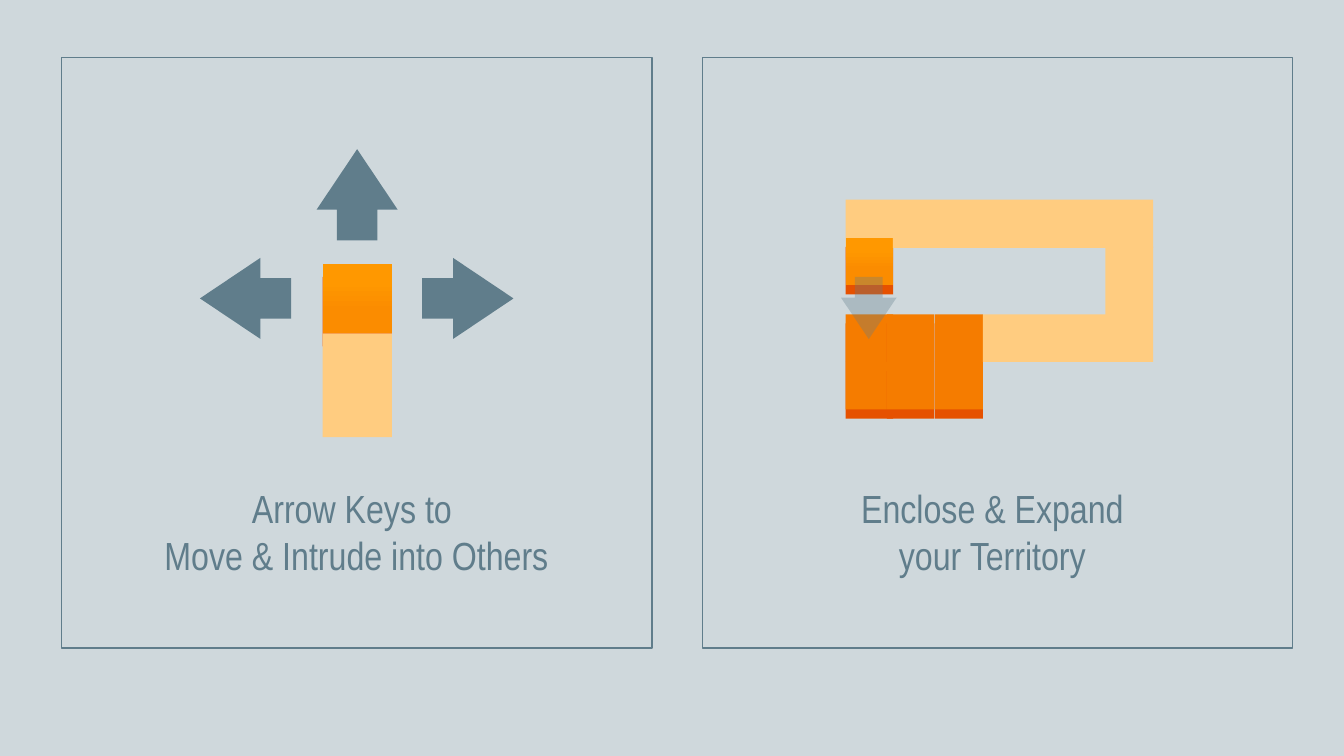
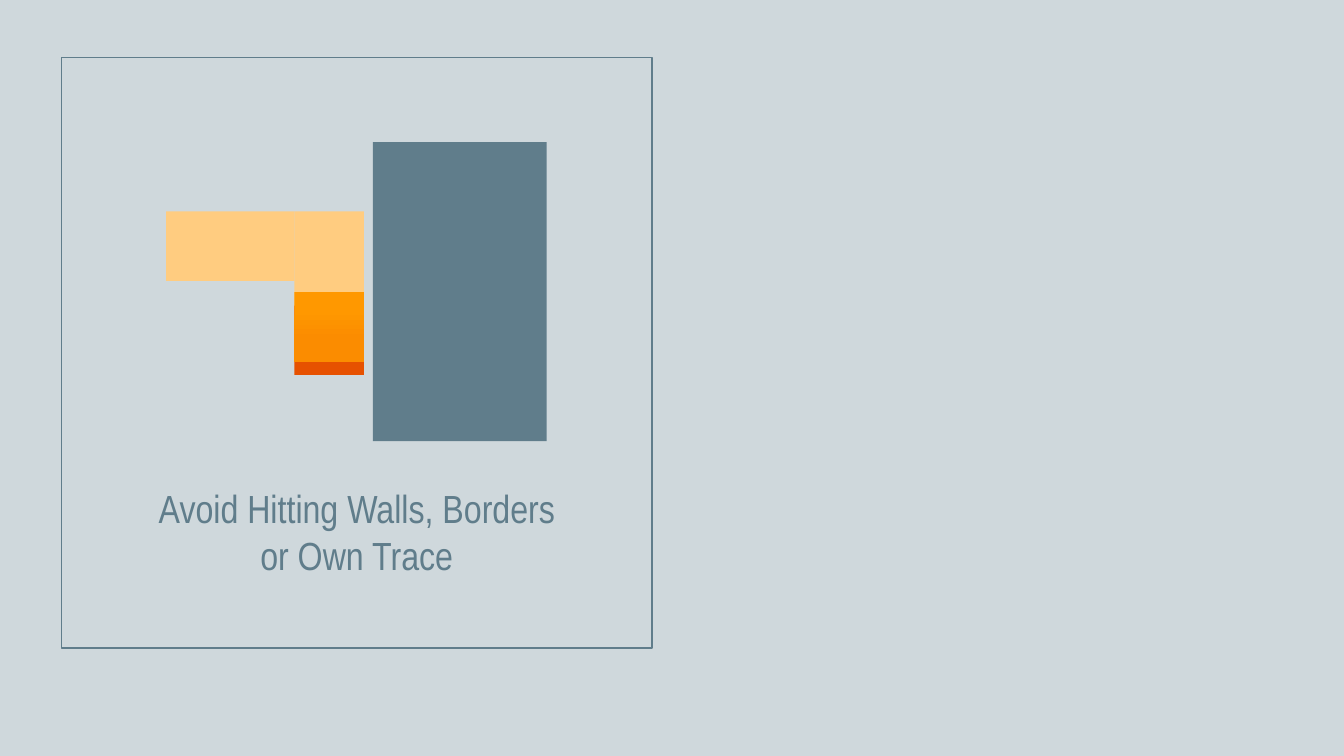
from collections import namedtuple
from itertools import product

from lxml.etree import SubElement
from pptx import Presentation
from pptx.dml.color import RGBColor
from pptx.enum.shapes import MSO_SHAPE as Preset
from pptx.enum.text import MSO_AUTO_SIZE as AutoSize, PP_ALIGN as Align
from pptx.oxml.ns import qn
from pptx.util import Cm, Pt

Box = namedtuple("Box", "left top width height")

BACKDROP, SLATE = "CFD8DC", "607D8B"
TRACE, TERRITORY, EDGE = "FFCC80", "F57C00", "E65100"
HEAD_STOPS = ((0.26, "FF9800"), (0.67, "FB8C00"))
CAPTION_FONT = {"name": "Arial Narrow", "size": Pt(28)}
CAPTION_FRAME = {"word_wrap": False, "auto_size": AutoSize.SHAPE_TO_FIT_TEXT}

SIDE = 14.88
LEFT_PANEL = Box(1.55, 1.45, SIDE, SIDE)
RIGHT_PANEL = LEFT_PANEL._replace(left=17.7)


def rgb(value):
    """Turn a hex string into a colour."""
    return RGBColor.from_string(value)


def apply(target, values):
    """Set each attribute named in a dict of format values."""
    for name, value in values.items():
        setattr(target, name, value)


def inside(panel, left, top, width, height):
    """Return the Cm lengths of an area given relative to a panel."""
    return Cm(panel.left + left), Cm(panel.top + top), Cm(width), Cm(height)


def add_solid(shapes, panel, area, color=None, preset=Preset.RECTANGLE):
    """Add a plain shape without line or shadow."""
    shape = shapes.add_shape(preset, *inside(panel, *area))
    shape.shadow.inherit = False
    shape.line.fill.background()
    if color:
        shape.fill.solid()
        shape.fill.fore_color.rgb = rgb(color)
    return shape


def add_block(shapes, panel, left, top, size, depth, color=None):
    """Add a raised square, with the head gradient unless a colour is given."""
    add_solid(shapes, panel, (left, top + depth, size, size), EDGE)
    face = add_solid(shapes, panel, (left, top, size, size), color)
    if not color:
        face.fill.gradient()
        face.fill.gradient_angle = 270
        for stop, (position, shade) in zip(face.fill.gradient_stops, HEAD_STOPS):
            stop.position = position
            stop.color.rgb = rgb(shade)


def add_arrow(shapes, panel, area, rotation):
    """Add a left arrow turned by the given degrees."""
    arrow = add_solid(shapes, panel, area, SLATE, Preset.LEFT_ARROW)
    arrow.rotation = rotation
    arrow.adjustments[0], arrow.adjustments[1] = 0.5, 0.746
    return arrow


def add_panel(page, panel, caption, width, center):
    """Draw a panel's frame and caption and return shapes for its drawing."""
    frame = add_solid(page.shapes, panel, (0, 0, panel.width, panel.height))
    frame.fill.background()
    frame.line.color.rgb = rgb(SLATE)
    frame.line.width = Pt(1)
    area = (center - width / 2, 10.64, width, 2.64)
    text = page.shapes.add_textbox(*inside(panel, *area)).text_frame
    apply(text, CAPTION_FRAME)
    text.text = caption
    for para in text.paragraphs:
        para.alignment = Align.CENTER
        for span in para.runs:
            apply(span.font, CAPTION_FONT)
            span.font.color.rgb = rgb(SLATE)
    return page.shapes.add_group_shape().shapes


def draw_moving(page, panel):
    """Show the head with the three directions it can take."""
    caption = "Arrow Keys to \vMove & Intrude into Others"
    shapes = add_panel(page, panel, caption, 10.29, 7.43)
    add_block(shapes, panel, 6.58, 5.2, 1.75, 0.33)
    add_solid(shapes, panel, (6.58, 6.95, 1.75, 2.62), TRACE)
    for left, top, rotation in ((3.49, 5.05, 0), (6.3, 2.44, 90), (9.09, 5.05, 180)):
        add_arrow(shapes, panel, (left, top, 2.3, 2.04), rotation)


def draw_enclosing(page, panel):
    """Show a trace that closes a loop onto its territory."""
    caption = "Enclose & Expand \vyour Territory "
    shapes = add_panel(page, panel, caption, 7.42, 7.42)
    cell, depth, left, top = 1.2, 0.23, 3.61, 3.58
    add_solid(shapes, panel, (left, top, cell, 1.52), TRACE)
    add_block(shapes, panel, left, 4.54, cell, depth)
    add_solid(shapes, panel, (10.16, 4.77, cell, 2.9), TRACE)
    for row, column in product((6.47, 7.67), (left, 4.65, 5.87)):
        add_block(shapes, panel, column, row, cell, depth, TERRITORY)
    add_solid(shapes, panel, (7.07, 6.47, 3.1, cell), TRACE)
    add_solid(shapes, panel, (4.8, top, 6.56, 1.22), TRACE)
    arrow = add_arrow(shapes, panel, (3.41, 5.61, 1.57, 1.4), 270)
    tint = arrow.element.spPr.find(".//" + qn("a:srgbClr"))
    SubElement(tint, qn("a:alpha")).set("val", "32000")


def draw_avoiding(page, panel):
    """Show the head turning away from a wall."""
    caption = "Avoid Hitting Walls, Borders\nor Own Trace"
    shapes = add_panel(page, panel, caption, 10.62, 7.44)
    add_solid(shapes, panel, (5.87, 3.88, 1.75, 2.62), TRACE)
    add_block(shapes, panel, 5.87, 5.92, 1.75, 0.33)
    add_solid(shapes, panel, (7.85, 2.13, 4.38, 7.54), SLATE)
    add_solid(shapes, panel, (2.64, 3.88, 3.23, 1.75), TRACE)


def main():
    """Build the deck and save it."""
    deck = Presentation()
    apply(deck, {"slide_width": Cm(33.87), "slide_height": Cm(19.05)})
    backdrop = deck.slide_master.background.fill
    backdrop.solid()
    backdrop.fore_color.rgb = rgb(BACKDROP)
    blank = deck.slide_layouts[6]
    controls = deck.slides.add_slide(blank)
    draw_moving(controls, LEFT_PANEL)
    draw_enclosing(controls, RIGHT_PANEL)
    draw_avoiding(deck.slides.add_slide(blank), LEFT_PANEL)
    deck.save("out.pptx")


if __name__ == "__main__":
    main()
